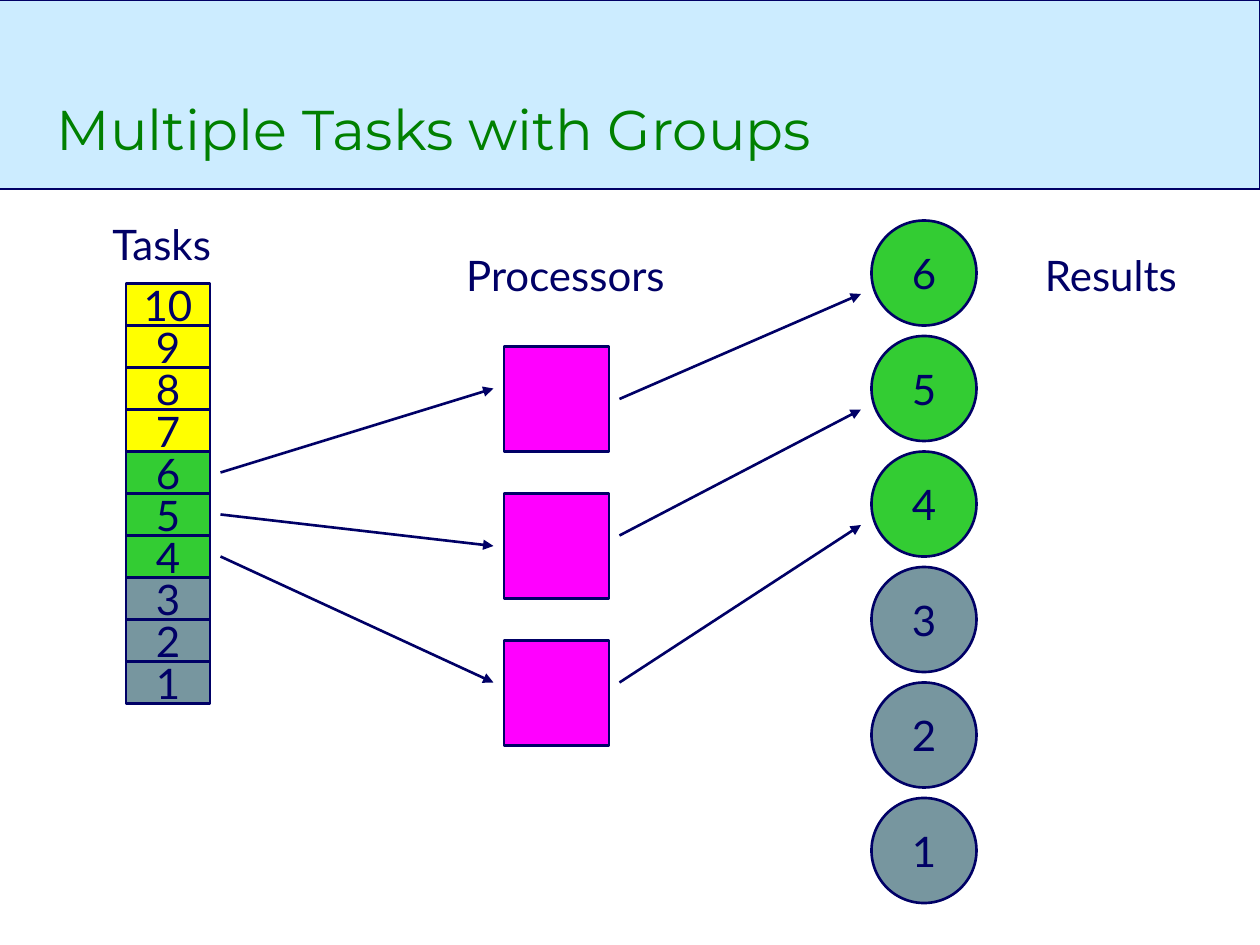
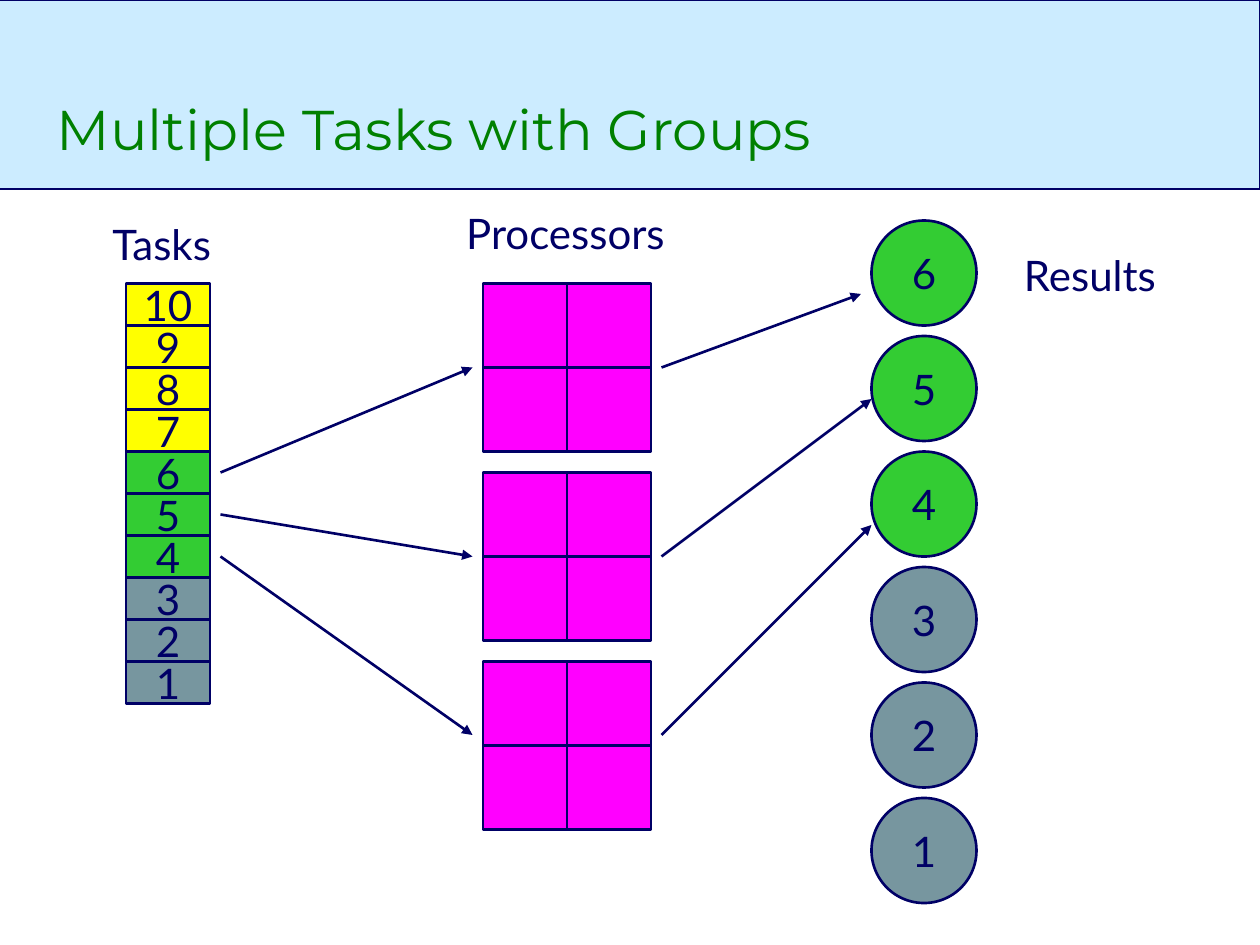
"""Build two slides that show tasks passing through processors to results."""
from dataclasses import dataclass
from itertools import product

from lxml.etree import SubElement
from pptx import Presentation
from pptx.dml.color import RGBColor as RGB
from pptx.enum.shapes import MSO_CONNECTOR as CONNECTOR, MSO_SHAPE as SHAPE
from pptx.enum.text import MSO_ANCHOR as ANCHOR, MSO_AUTO_SIZE as FIT, PP_ALIGN as ALIGN
from pptx.oxml.ns import qn
from pptx.util import Emu, Pt

PX = 7620


@dataclass(frozen=True)
class Theme:
    """Colours, fonts and sizes of the deck."""
    ink: str = "000066"
    band: str = "CCECFF"
    title: str = "008000"
    waiting: str = "FFFF00"
    active: str = "33CC33"
    done: str = "77969F"
    processor: str = "FF00FF"
    title_font: str = "Montserrat"
    text_font: str = "Lato"
    title_size: int = 32
    text_size: int = 24
    line_width: float = 1.5


def emu(*lengths):
    """Turn px lengths into EMU."""
    return [Emu(length * PX) for length in lengths]


class Deck:
    """Holds the style and the current slide."""

    def __init__(self, theme):
        """Start an empty 10 by 7.5 inch presentation."""
        self.theme = theme
        self.presentation = Presentation()
        self.presentation.slide_width, self.presentation.slide_height = emu(1200, 900)
        self.layout = self.presentation.slide_layouts[5]
        self.slide = None

    def add_slide(self, title):
        """Add a titled slide; the first one gives its band to the layout."""
        first = self.slide is None
        self.slide = self.presentation.slides.add_slide(self.layout)
        if first:
            band = self.block(SHAPE.RECTANGLE, (-4, 0, 1204, 180), self.theme.band)
            self.layout.shapes.element.insert(2, band.element)
        heading = self.slide.shapes.title
        heading.left, heading.top, heading.width, heading.height = emu(42, 30, 997, 130)
        frame = heading.text_frame
        frame.auto_size = FIT.NONE
        frame.vertical_anchor = ANCHOR.BOTTOM
        self.put_text(frame, title, ALIGN.LEFT, self.theme.title_font,
                      self.theme.title_size, self.theme.title)

    def put_text(self, frame, text, align, font, size, color):
        """Put one formatted run in the first paragraph."""
        paragraph = frame.paragraphs[0]
        paragraph.alignment = align
        run = paragraph.add_run()
        run.text = text
        run.font.name = font
        run.font.size = Pt(size)
        run.font.color.rgb = RGB.from_string(color)

    def caption(self, frame, text):
        """Put in centred body text that does not wrap."""
        frame.word_wrap = False
        frame.margin_left, frame.margin_top, frame.margin_right, frame.margin_bottom = \
            emu(24, 18, 24, 18)
        self.put_text(frame, text, ALIGN.CENTER, self.theme.text_font,
                      self.theme.text_size, self.theme.ink)

    def outline(self, line):
        """Give a line the shared colour and width."""
        line.color.rgb = RGB.from_string(self.theme.ink)
        line.width = Pt(self.theme.line_width)

    def block(self, kind, box, fill, text=""):
        """Add a filled shape with optional centred text."""
        shape = self.slide.shapes.add_shape(kind, *emu(*box))
        shape.shadow.inherit = False
        shape.fill.solid()
        shape.fill.fore_color.rgb = RGB.from_string(fill)
        self.outline(shape.line)
        if text:
            shape.text_frame.vertical_anchor = ANCHOR.MIDDLE
            self.caption(shape.text_frame, text)
        return shape

    def label(self, text, box):
        """Add a free-standing label."""
        frame = self.slide.shapes.add_textbox(*emu(*box)).text_frame
        frame.auto_size = FIT.SHAPE_TO_FIT_TEXT
        self.caption(frame, text)

    def arrow(self, start, end):
        """Add a straight arrow."""
        connector = self.slide.shapes.add_connector(CONNECTOR.STRAIGHT, *emu(*start, *end))
        self.outline(connector.line)
        properties = connector.element.spPr
        SubElement(properties.find(qn("a:ln")), qn("a:tailEnd"), type="triangle")
        SubElement(properties, qn("a:effectLst"))

    def state_color(self, task):
        """Return the colour for a task's progress."""
        if task > 6:
            return self.theme.waiting
        return self.theme.active if task > 3 else self.theme.done

    def tasks(self):
        """Draw the task stack, highest number on top."""
        for row, task in enumerate(range(10, 0, -1)):
            self.block(SHAPE.RECTANGLE, (120, 270 + 40 * row, 80, 40),
                       self.state_color(task), str(task))
        self.label("Tasks", (78, 190, 152, 84))

    def results(self, label_left):
        """Draw the column of results and its label."""
        for row, task in enumerate(range(6, 0, -1)):
            self.block(SHAPE.OVAL, (830, 210 + 110 * row, 100, 100),
                       self.state_color(task), str(task))
        self.label("Results", (label_left, 220, 184, 84))

    def processors(self, left, top, pitch, cell, side, label_top):
        """Draw three processor groups, each side by side cells."""
        for group, row, column in product(range(3), range(side), range(side)):
            self.block(SHAPE.RECTANGLE,
                       (left + cell * column, top + pitch * group + cell * row, cell, cell),
                       self.theme.processor)
        self.label("Processors", (412, label_top, 253, 84))

    def flow(self, inputs, outputs, results):
        """Draw arrows from active tasks to processors and on to results."""
        for row, entry in enumerate(inputs):
            self.arrow((210, 450 + 40 * row), entry)
        for leave, result in zip(outputs, results):
            self.arrow(leave, result)


def main():
    """Build and save the deck."""
    deck = Deck(Theme())
    title = "Multiple Tasks with Groups"

    deck.add_slide(title)
    deck.tasks()
    deck.processors(left=480, top=330, pitch=140, cell=100, side=1, label_top=220)
    deck.results(label_left=966)
    deck.flow(inputs=[(470, 370), (470, 520), (470, 650)],
              outputs=[(590, 380), (590, 510), (590, 650)],
              results=[(820, 280), (820, 390), (820, 500)])

    deck.add_slide(title)
    deck.tasks()
    deck.processors(left=460, top=270, pitch=180, cell=80, side=2, label_top=180)
    deck.results(label_left=946)
    deck.flow(inputs=[(450, 350), (450, 530), (450, 700)],
              outputs=[(630, 350), (630, 530), (630, 700)],
              results=[(820, 280), (830, 380), (830, 500)])

    deck.presentation.save("out.pptx")


if __name__ == "__main__":
    main()
